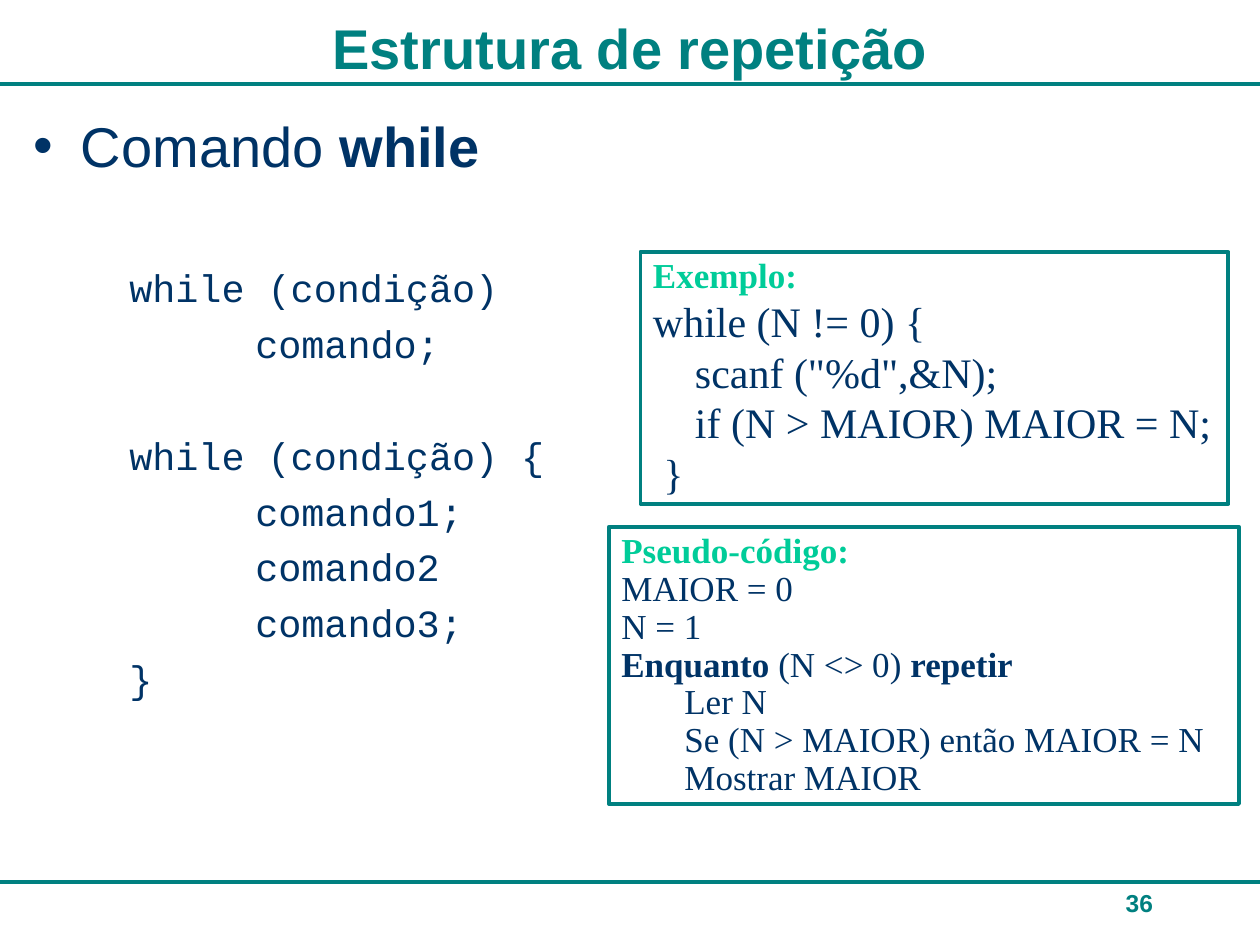
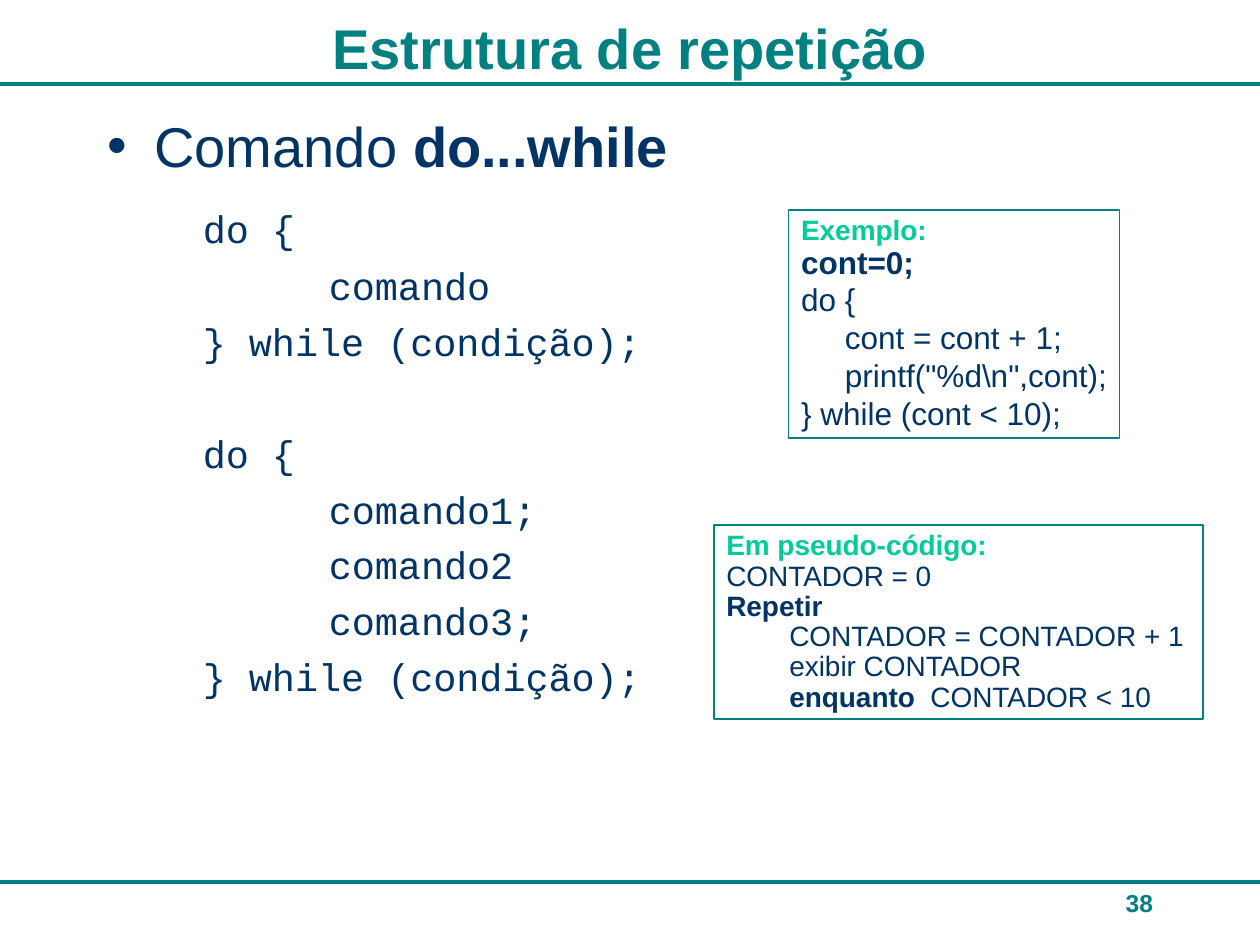
from dataclasses import dataclass

from lxml.etree import SubElement
from pptx import Presentation
from pptx.dml.color import RGBColor
from pptx.enum.shapes import MSO_CONNECTOR, MSO_SHAPE
from pptx.enum.text import MSO_ANCHOR, MSO_AUTO_SIZE, PP_ALIGN
from pptx.oxml.ns import qn
from pptx.util import Pt

TEAL = "008080"
NAVY = "003366"
GREEN = "00CC99"
PAGE_WIDTH, PAGE_HEIGHT = 720, 540
INSET_X, INSET_Y = 7.2, 3.6
FULL, TIGHT = 1.2, 1.08
CODE_INDENT, CODE_STEP = 54.72, 72
CODE_GAP, BLANK_LINE = 5.5, 31.9


@dataclass
class Line:
    text: str
    size: float
    indent: float = 0
    color: str = NAVY
    leading: float = TIGHT

    @property
    def height(self) -> float:
        return self.size * self.leading


@dataclass
class Frame:
    left: float
    top: float
    width: float
    border: float
    font: str
    lines: list[Line]


@dataclass
class CodeLine:
    text: str
    depth: int = 0
    gap: float = CODE_GAP


@dataclass
class Lesson:
    number: str
    heading: str
    body_left: float
    body_height: float
    code: list[CodeLine]
    frames: list[Frame]


def block(opening: str, closing: str) -> list[CodeLine]:
    commands = ["comando1;", "comando2", "comando3;"]
    return [CodeLine(opening, gap=CODE_GAP + BLANK_LINE),
            *(CodeLine(command, 1) for command in commands),
            CodeLine(closing)]


LESSONS = [
    Lesson("36", "Comando *while*", 12, 444, [
        CodeLine("while (condição)", gap=49),
        CodeLine("comando;", 1),
        *block("while (condição) {", "}"),
    ], [
        Frame(348, 301, 360, 2.25, "Times New Roman", [
            Line("*Pseudo-código:*", 20, color=GREEN),
            Line("MAIOR = 0", 20),
            Line("N = 1", 20),
            Line("*Enquanto* (N <> 0) *repetir*", 20),
            Line("Ler N", 20, 36),
            Line("Se (N > MAIOR) então MAIOR = N", 20, 36),
            Line("Mostrar MAIOR", 20, 36),
        ]),
        Frame(366, 144, 336, 2.25, "Times New Roman", [
            Line("*Exemplo:*", 20, color=GREEN),
            Line("while (N != 0) {", 24, leading=FULL),
            Line('scanf ("%d",&N);', 24, 24, leading=FULL),
            Line("if (N > MAIOR) MAIOR = N;", 24, 24, leading=FULL),
            Line("}", 24, 6, leading=FULL),
        ]),
    ]),
    Lesson("38", "Comando *do...while*", 54, 348, [
        CodeLine("do {", gap=15),
        CodeLine("comando", 1, 6.5),
        CodeLine("} while (condição);"),
        *block("do {", "} while (condição);"),
    ], [
        Frame(408, 300, 279.5, 0.75, "Arial", [
            Line("*Em pseudo-código:*", 16, color=GREEN),
            Line("CONTADOR = 0", 16),
            Line("*Repetir*", 16),
            Line("CONTADOR = CONTADOR + 1", 16, 36),
            Line("exibir CONTADOR", 16, 36),
            Line("*enquanto*  CONTADOR < 10", 16, 36),
        ]),
        Frame(450.75, 120, 189, 0.75, "Arial", [
            Line("*Exemplo:*", 16, color=GREEN),
            Line("*cont=0;*", 18),
            Line("do {", 18, leading=FULL),
            Line("cont = cont + 1;", 18, 25, leading=FULL),
            Line('printf("%d\\n",cont);', 18, 25, leading=FULL),
            Line("} while (cont < 10);", 18, leading=FULL),
        ]),
    ]),
]


def rgb(color: str) -> RGBColor:
    return RGBColor.from_string(color)


def place(shape, left: float, top: float, width: float, height: float) -> None:
    shape.left, shape.top = Pt(left), Pt(top)
    shape.width, shape.height = Pt(width), Pt(height)


def prepare(shape, anchor=MSO_ANCHOR.TOP, wrap: bool = True):
    frame = shape.text_frame
    frame.auto_size = MSO_AUTO_SIZE.NONE
    frame.word_wrap = wrap
    frame.vertical_anchor = anchor
    frame.margin_left = frame.margin_right = Pt(INSET_X)
    frame.margin_top = frame.margin_bottom = Pt(INSET_Y)
    return frame


def write(frame, text: str, *, size: float, font: str = "Arial",
          color: str = NAVY, align=PP_ALIGN.LEFT, indent: float = 0,
          hanging: float = 0, before: float = 0, leading: float = FULL,
          bullet: str = "") -> None:
    para = frame.paragraphs[0]
    if para.runs:
        para = frame.add_paragraph()
    para.alignment = align
    para.line_spacing = Pt(size * leading)
    para.space_before = Pt(before)
    para.space_after = Pt(0)
    properties = para._p.get_or_add_pPr()
    properties.set("marL", str(Pt(indent)))
    properties.set("indent", str(-Pt(hanging)))
    if bullet:
        SubElement(properties, qn("a:buFont")).set("typeface", "Arial")
        SubElement(properties, qn("a:buChar")).set("char", bullet)
    else:
        SubElement(properties, qn("a:buNone"))
    for position, piece in enumerate(text.split("*")):
        if piece:
            span = para.add_run()
            span.text = piece
            span.font.name = font
            span.font.size = Pt(size)
            span.font.bold = position % 2 == 1
            span.font.color.rgb = rgb(color)


def add_rule(page, layout, top: float) -> None:
    rule = page.shapes.add_connector(
        MSO_CONNECTOR.STRAIGHT, Pt(0), Pt(top), Pt(PAGE_WIDTH), Pt(top))
    rule.line.color.rgb = rgb(TEAL)
    rule.line.width = Pt(2.25)
    SubElement(rule.element.spPr, qn("a:effectLst"))
    layout.shapes.element.append(rule.element)


def add_frame(page, frame: Frame) -> None:
    height = 2 * INSET_Y + sum(line.height for line in frame.lines)
    box = page.shapes.add_shape(
        MSO_SHAPE.RECTANGLE, Pt(frame.left), Pt(frame.top),
        Pt(frame.width), Pt(height))
    box.shadow.inherit = False
    box.fill.background()
    box.line.color.rgb = rgb(TEAL)
    box.line.width = Pt(frame.border)
    content = prepare(box, wrap=False)
    for line in frame.lines:
        write(content, line.text, size=line.size, font=frame.font,
              color=line.color, indent=line.indent, leading=line.leading)


def add_lesson(page, lesson: Lesson) -> None:
    number = page.shapes.add_textbox(Pt(516), Pt(504), Pt(150), Pt(36))
    write(prepare(number), f"*{lesson.number}*", size=14, color=TEAL,
          align=PP_ALIGN.RIGHT)

    title = page.shapes.title
    place(title, 0, 6, PAGE_WIDTH, 42)
    write(prepare(title, MSO_ANCHOR.MIDDLE), "*Estrutura de repetição*",
          size=32, color=TEAL, align=PP_ALIGN.CENTER)

    body = page.placeholders[1]
    place(body, lesson.body_left, 60, 612, lesson.body_height)
    content = prepare(body)
    write(content, lesson.heading, size=32, indent=27, hanging=27, bullet="•")
    for line in lesson.code:
        write(content, line.text, size=22, font="Courier New",
              indent=CODE_INDENT + line.depth * CODE_STEP, before=line.gap)

    for frame in lesson.frames:
        add_frame(page, frame)


def main() -> None:
    deck = Presentation()
    deck.slide_width, deck.slide_height = Pt(PAGE_WIDTH), Pt(PAGE_HEIGHT)
    layout = deck.slide_layouts[1]
    pages = [deck.slides.add_slide(layout) for _ in LESSONS]
    for top in (504, 48):
        add_rule(pages[0], layout, top)
    for page, lesson in zip(pages, LESSONS):
        add_lesson(page, lesson)
    deck.save("out.pptx")


if __name__ == "__main__":
    main()
